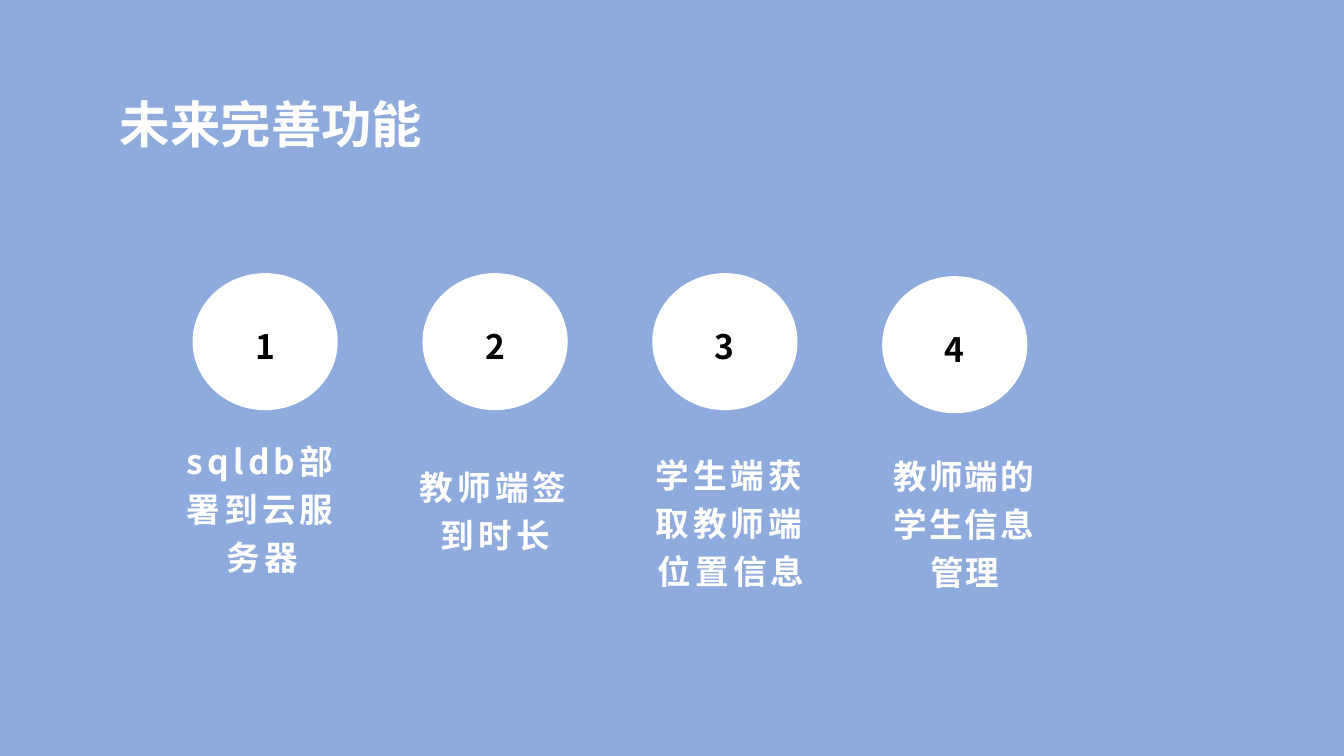
from dataclasses import dataclass

from lxml.etree import SubElement
from pptx import Presentation
from pptx.dml.color import RGBColor
from pptx.enum.shapes import MSO_SHAPE as Shape
from pptx.enum.text import MSO_ANCHOR as Anchor, MSO_AUTO_SIZE as Fit, PP_ALIGN as Align
from pptx.oxml.ns import qn
from pptx.slide import Slide
from pptx.text.text import TextFrame
from pptx.util import Inches, Pt

BLUE = RGBColor(0x8F, 0xAA, 0xDC)
WHITE = RGBColor(0xFF, 0xFF, 0xFF)
BLACK = RGBColor(0, 0, 0)
FONT = "Noto Sans CJK SC"

LEFT, STEP = 1.91, 2.28
DISC_W, DISC_H = 1.44, 1.36
LABEL_W = 1.88


@dataclass
class Feature:
    text: str
    left: float
    top: float
    height: float = 0.34
    disc_top: float = 2.71
    anchor: Anchor = Anchor.BOTTOM
    spacing: float = 3


FEATURES = [
    Feature("sqldb部署到云服务器", 1.66, 5.39),
    Feature("教师端签到时长", 3.97, 5.17),
    Feature("学生端获取教师端位置信息", 6.31, 5.53),
    Feature("教师端的学生信息管理", 8.63, 4.44, 0.89, 2.74, Anchor.TOP, 1.5),
]


def write(frame: TextFrame, text: str, *, size: float = 24, color: RGBColor = WHITE,
          align: Align = Align.CENTER, anchor: Anchor = Anchor.TOP,
          leading: float = 1.2, spacing: float = 0, wrap: bool = True) -> None:
    """Fill the frame with one bold paragraph; spacing is in points."""
    frame.word_wrap = wrap
    frame.vertical_anchor = anchor
    para = frame.paragraphs[0]
    para.alignment = align
    para.line_spacing = leading
    run = para.add_run()
    run.text = text
    font = run.font
    font.size, font.bold, font.name = Pt(size), True, FONT
    font.color.rgb = color
    props = run._r.get_or_add_rPr()
    SubElement(props, qn("a:ea")).set("typeface", FONT)
    if spacing:
        props.set("spc", str(round(spacing * 100)))


def add_disc(slide: Slide, index: int, top: float) -> None:
    disc = slide.shapes.add_shape(Shape.OVAL, Inches(LEFT + index * STEP), Inches(top),
                                  Inches(DISC_W), Inches(DISC_H))
    disc.shadow.inherit = False
    disc.fill.solid()
    disc.fill.fore_color.rgb = WHITE
    disc.line.fill.background()
    write(disc.text_frame, str(index + 1), color=BLACK, anchor=Anchor.MIDDLE)


def add_label(slide: Slide, item: Feature) -> None:
    frame = slide.shapes.add_textbox(Inches(item.left), Inches(item.top),
                                     Inches(LABEL_W), Inches(item.height)).text_frame
    low = item.anchor == Anchor.BOTTOM
    frame.margin_left = frame.margin_right = Inches(0.07)
    frame.margin_top = Inches(0.04 if low else 0)
    frame.margin_bottom = Inches(0 if low else 0.04)
    write(frame, item.text, anchor=item.anchor, spacing=item.spacing)


def add_title(slide: Slide, text: str) -> None:
    frame = slide.shapes.add_textbox(Inches(1.09), Inches(0.87),
                                     Inches(3.24), Inches(0.71)).text_frame
    write(frame, text, size=36, align=Align.LEFT, leading=1.0, wrap=False)
    frame.auto_size = Fit.SHAPE_TO_FIT_TEXT


def main() -> None:
    deck = Presentation()
    deck.slide_width, deck.slide_height = Inches(13.33), Inches(7.5)
    slide = deck.slides.add_slide(deck.slide_layouts[6])
    fill = slide.background.fill
    fill.solid()
    fill.fore_color.rgb = BLUE
    add_title(slide, "未来完善功能")
    for index, item in enumerate(FEATURES):
        add_disc(slide, index, item.disc_top)
        add_label(slide, item)
    deck.save("out.pptx")


if __name__ == "__main__":
    main()
